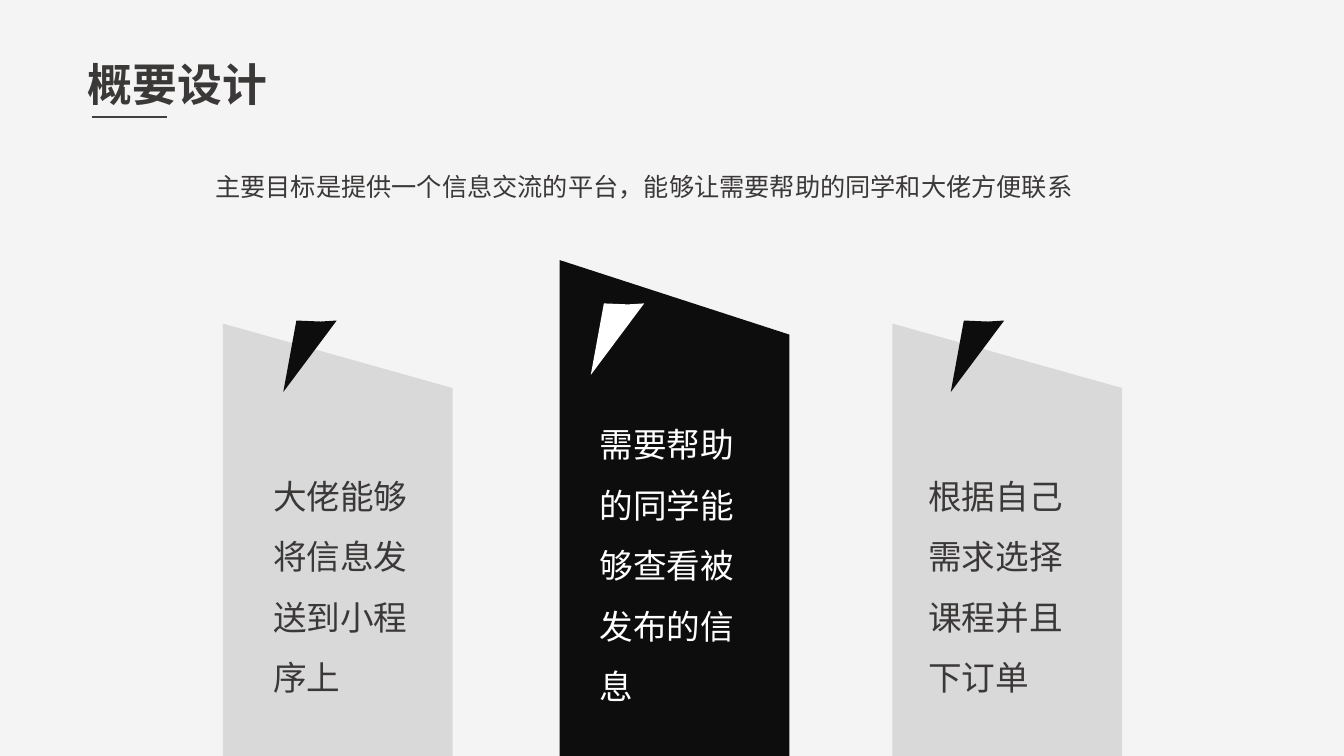
from dataclasses import dataclass

from lxml import etree
from pptx import Presentation
from pptx.dml.color import RGBColor
from pptx.enum.shapes import MSO_CONNECTOR
from pptx.enum.text import MSO_ANCHOR, MSO_AUTO_SIZE, PP_ALIGN
from pptx.oxml.ns import qn
from pptx.util import Inches, Pt


@dataclass(frozen=True)
class Theme:
    font: str = "Noto Sans CJK SC"
    background: str = "F4F4F4"
    text: str = "3B3838"
    rule: str = "404040"
    grey: str = "808080"
    black: str = "0D0D0D"
    white: str = "FFFFFF"
    title_size: int = 32
    card_size: int = 24
    lead_size: int = 18


@dataclass(frozen=True)
class Card:
    left: float
    top: float
    drop: float
    fill: str
    opacity: int
    wedge_tip: tuple
    wedge_fill: str
    text_box: tuple
    text_color: str
    text: str


THEME = Theme()
SLIDE_WIDTH, SLIDE_HEIGHT = 13.33, 7.5
CARD_WIDTH = 2.28
WEDGE = [(0, 0), (0.13, -0.71), (0.37, -0.7), (0.53, -0.71)]

CARDS = [
    Card(8.85, 3.21, 0.64, THEME.grey, 23, (9.43, 3.89), THEME.black,
         (9.11, 4.47, 1.76, 2.45), THEME.text, "根据自己需求选择课程并且下订单"),
    Card(2.21, 3.21, 0.64, THEME.grey, 23, (2.81, 3.89), THEME.black,
         (2.61, 4.47, 1.76, 2.45), THEME.text, "大佬能够将信息发送到小程序上"),
    Card(5.55, 2.58, 0.74, THEME.black, 100, (5.86, 3.72), THEME.white,
         (5.85, 3.96, 1.76, 3.06), THEME.white, "需要帮助的同学能够查看被发布的信息"),
]


def rgb(color):
    return RGBColor.from_string(color)


def add_polygon(slide, points, color, opacity=100):
    start, *rest = [(Inches(x), Inches(y)) for x, y in points]
    builder = slide.shapes.build_freeform(*start)
    builder.add_line_segments(rest, close=True)
    sp = builder.convert_to_shape()
    sp.shadow.inherit = False
    sp.line.fill.background()
    sp.fill.solid()
    sp.fill.fore_color.rgb = rgb(color)
    if opacity < 100:
        clr = sp._element.spPr.find(qn("a:solidFill"))[0]
        etree.SubElement(clr, qn("a:alpha"), val=str(opacity * 1000))


def write_text(sp, text, size, color, bold=False, align=PP_ALIGN.LEFT,
               spacing=1.0, wrap=True):
    tf = sp.text_frame
    tf.word_wrap = wrap
    tf.auto_size = MSO_AUTO_SIZE.SHAPE_TO_FIT_TEXT
    tf.vertical_anchor = MSO_ANCHOR.TOP
    p = tf.paragraphs[0]
    p.text = text
    p.alignment = align
    p.line_spacing = spacing
    p.space_before = Pt(0)
    p.font.size = Pt(size)
    p.font.bold = bold
    p.font.color.rgb = rgb(color)
    p.font.name = THEME.font
    # Chinese glyphs take the East Asian typeface
    props = p._p.pPr.find(qn("a:defRPr"))
    etree.SubElement(props, qn("a:ea"), typeface=THEME.font)


def add_text(slide, box, text, size, color, **style):
    sp = slide.shapes.add_textbox(*map(Inches, box))
    write_text(sp, text, size, color, spacing=1.5, **style)


def set_title(slide, box, text):
    sp = slide.shapes.title
    sp.left, sp.top, sp.width, sp.height = map(Inches, box)
    write_text(sp, text, THEME.title_size, THEME.text, bold=True, wrap=False)


def add_rule(slide, left, right, y):
    line = slide.shapes.add_connector(
        MSO_CONNECTOR.STRAIGHT, Inches(left), Inches(y), Inches(right), Inches(y))
    line.line.color.rgb = rgb(THEME.rule)
    line.line.width = Pt(1.5)
    etree.SubElement(line._element.spPr, qn("a:effectLst"))


def add_card(slide, card):
    """Add a slant-topped column with its wedge and text."""
    right = card.left + CARD_WIDTH
    column = [(card.left, card.top), (right, card.top + card.drop),
              (right, SLIDE_HEIGHT), (card.left, SLIDE_HEIGHT)]
    add_polygon(slide, column, card.fill, card.opacity)
    tip_x, tip_y = card.wedge_tip
    add_polygon(slide, [(tip_x + dx, tip_y + dy) for dx, dy in WEDGE],
                card.wedge_fill)
    add_text(slide, card.text_box, card.text, THEME.card_size, card.text_color)


def main():
    prs = Presentation()
    prs.slide_width, prs.slide_height = Inches(SLIDE_WIDTH), Inches(SLIDE_HEIGHT)
    slide = prs.slides.add_slide(prs.slide_layouts.get_by_name("Title Only"))
    slide.background.fill.solid()
    slide.background.fill.fore_color.rgb = rgb(THEME.background)

    for card in CARDS:
        add_card(slide, card)
    set_title(slide, (0.77, 0.51, 2, 0.64), "概要设计")
    add_rule(slide, 0.91, 1.66, 1.16)
    add_text(slide, (1.79, 1.5, 9.19, 0.5),
             "主要目标是提供一个信息交流的平台，能够让需要帮助的同学和大佬方便联系",
             THEME.lead_size, THEME.text, align=PP_ALIGN.CENTER)
    prs.save("out.pptx")


if __name__ == "__main__":
    main()
